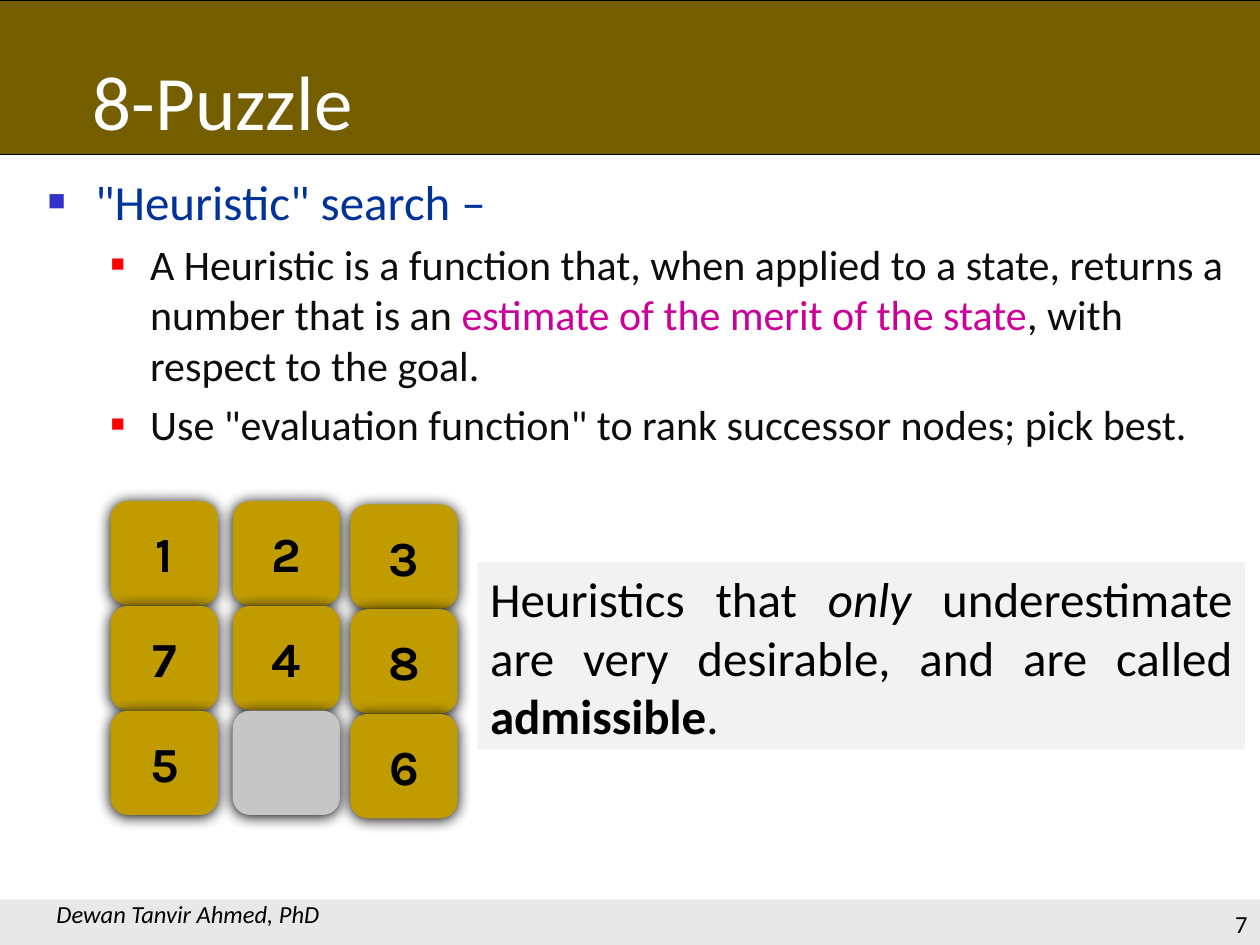
from lxml.etree import SubElement
from pptx import Presentation
from pptx.dml.color import RGBColor
from pptx.enum.shapes import MSO_SHAPE
from pptx.enum.text import MSO_ANCHOR, PP_ALIGN
from pptx.oxml.ns import qn
from pptx.util import Pt

BLACK = RGBColor(0x00, 0x00, 0x00)
WHITE = RGBColor(0xFF, 0xFF, 0xFF)
BROWN = RGBColor(0x74, 0x5E, 0x00)
GOLD = RGBColor(0xC0, 0x9C, 0x00)
EMPTY_GRAY = RGBColor(0xC6, 0xC6, 0xC6)
FOOTER_GRAY = RGBColor(0xE8, 0xE8, 0xE8)
CALLOUT_GRAY = RGBColor(0xF2, 0xF2, 0xF2)
NAVY = RGBColor(0x00, 0x33, 0x99)
INK = RGBColor(0x0D, 0x0D, 0x0D)
MAGENTA = RGBColor(0xCC, 0x00, 0x99)
BLUE_BULLET = RGBColor(0x33, 0x33, 0xCC)
RED_BULLET = RGBColor(0xFF, 0x00, 0x00)

# Content: runs are (text, style) pairs
TITLE = "8-Puzzle"
BULLETS = [
    (0, [('"Heuristic" search –', {})]),
    (1, [("A Heuristic is a function that, when applied to a state, returns a "
          "number that is an ", {}),
         ("estimate of the merit of the state", {"color": MAGENTA}),
         (", with respect to the goal.", {})]),
    (1, [('Use "evaluation function" to rank successor nodes; pick best.', {})]),
]
LEVELS = [
    {"size": 28, "color": NAVY, "bullet": BLUE_BULLET, "scale": 60,
     "margin": 27, "hang": 27},
    {"size": 24, "color": INK, "bullet": RED_BULLET, "scale": 55,
     "margin": 58.5, "hang": 22.5},
]
BOARD = [["1", "2", "3"], ["7", "4", "8"], ["5", "", "6"]]
CALLOUT = [
    ("Heuristics that ", {}), ("only", {"italic": True}),
    (" underestimate are very desirable, and are called ", {}),
    ("admissible", {"bold": True}), (".", {}),
]
AUTHOR = "Dewan Tanvir Ahmed, PhD"
PAGE = "7"

# Board geometry: (left, top) of each column, in points
COLUMNS = [(63.2, 286.3), (133, 286.3), (200.2, 288.2)]
TILE_W, TILE_H, ROW_STEP = 61.3, 59.6, 59.9

prs = Presentation()
prs.slide_width, prs.slide_height = Pt(720), Pt(540)
s = prs.slides.add_slide(prs.slide_layouts[6])


def add_box(shape, x, y, w, h, fill, line=None):
    sp = s.shapes.add_shape(shape, Pt(x), Pt(y), Pt(w), Pt(h))
    sp.shadow.inherit = False
    sp.fill.solid()
    sp.fill.fore_color.rgb = fill
    if line is None:
        sp.line.fill.background()
    else:
        sp.line.color.rgb = line
        sp.line.width = Pt(0.75)
    return sp


def add_text(x, y, w, h, anchor=MSO_ANCHOR.TOP):
    tf = s.shapes.add_textbox(Pt(x), Pt(y), Pt(w), Pt(h)).text_frame
    tf.word_wrap = True
    tf.vertical_anchor = anchor
    return tf


def add_runs(p, runs, size, color=BLACK, font="Calibri"):
    for text, style in runs:
        r = p.add_run()
        r.text = text
        r.font.name, r.font.size = font, Pt(size)
        r.font.color.rgb = style.get("color", color)
        r.font.bold = style.get("bold", False)
        r.font.italic = style.get("italic", False)


def set_bullet(p, level):
    pPr = p._p.get_or_add_pPr()
    pPr.set("marL", str(Pt(level["margin"])))
    pPr.set("indent", str(-Pt(level["hang"])))
    color = SubElement(pPr, qn("a:buClr"))
    SubElement(color, qn("a:srgbClr"), val=str(level["bullet"]))
    SubElement(pPr, qn("a:buSzPct"), val=str(level["scale"] * 1000))
    SubElement(pPr, qn("a:buFont"), typeface="Arial")
    SubElement(pPr, qn("a:buChar"), char="■")


def add_shadow(sp):
    effects = sp._element.spPr.find(qn("a:effectLst"))
    shadow = SubElement(effects, qn("a:outerShdw"), blurRad=str(Pt(8.5)),
                        dist=str(Pt(1)), dir="5400000", rotWithShape="0")
    SubElement(shadow, qn("a:srgbClr"), val=str(BLACK))


# Footer and title bands
add_box(MSO_SHAPE.RECTANGLE, 0, 514, 720, 26, FOOTER_GRAY)
add_box(MSO_SHAPE.RECTANGLE, -14.4, 0, 748, 88.5, BROWN, BLACK)

# Title
tf = add_text(46, 18, 638, 69, MSO_ANCHOR.BOTTOM)
add_runs(tf.paragraphs[0], [(TITLE, {})], 44, WHITE)

# Bulleted text
tf = add_text(20.2, 94.3, 699.8, 383)
for i, (depth, runs) in enumerate(BULLETS):
    p = tf.add_paragraph() if i else tf.paragraphs[0]
    level = LEVELS[depth]
    p.level = depth
    p.space_before = Pt(0.2 * level["size"])
    set_bullet(p, level)
    add_runs(p, runs, level["size"], level["color"])

# Puzzle board
for row, labels in enumerate(BOARD):
    for label, (x, top) in zip(labels, COLUMNS):
        sp = add_box(MSO_SHAPE.ROUNDED_RECTANGLE, x, top + row * ROW_STEP,
                     TILE_W, TILE_H, GOLD if label else EMPTY_GRAY)
        add_shadow(sp)
        if label:
            tf = sp.text_frame
            tf.word_wrap = False
            tf.vertical_anchor = MSO_ANCHOR.MIDDLE
            p = tf.paragraphs[0]
            p.alignment = PP_ALIGN.CENTER
            add_runs(p, [(label, {"bold": True})], 28, font="Karla")

# Callout
sp = add_box(MSO_SHAPE.RECTANGLE, 273, 321.2, 438.4, 107.2, CALLOUT_GRAY)
tf = sp.text_frame
tf.word_wrap = True
tf.vertical_anchor = MSO_ANCHOR.TOP
p = tf.paragraphs[0]
p.alignment = PP_ALIGN.JUSTIFY
add_runs(p, CALLOUT, 28)

# Footer text
tf = add_text(25.2, 498.2, 606, 36, MSO_ANCHOR.BOTTOM)
add_runs(tf.paragraphs[0], [(AUTHOR, {"italic": True})], 14)
tf = add_text(570, 504, 150, 36, MSO_ANCHOR.BOTTOM)
tf.paragraphs[0].alignment = PP_ALIGN.RIGHT
add_runs(tf.paragraphs[0], [(PAGE, {})], 14)

prs.save("out.pptx")
